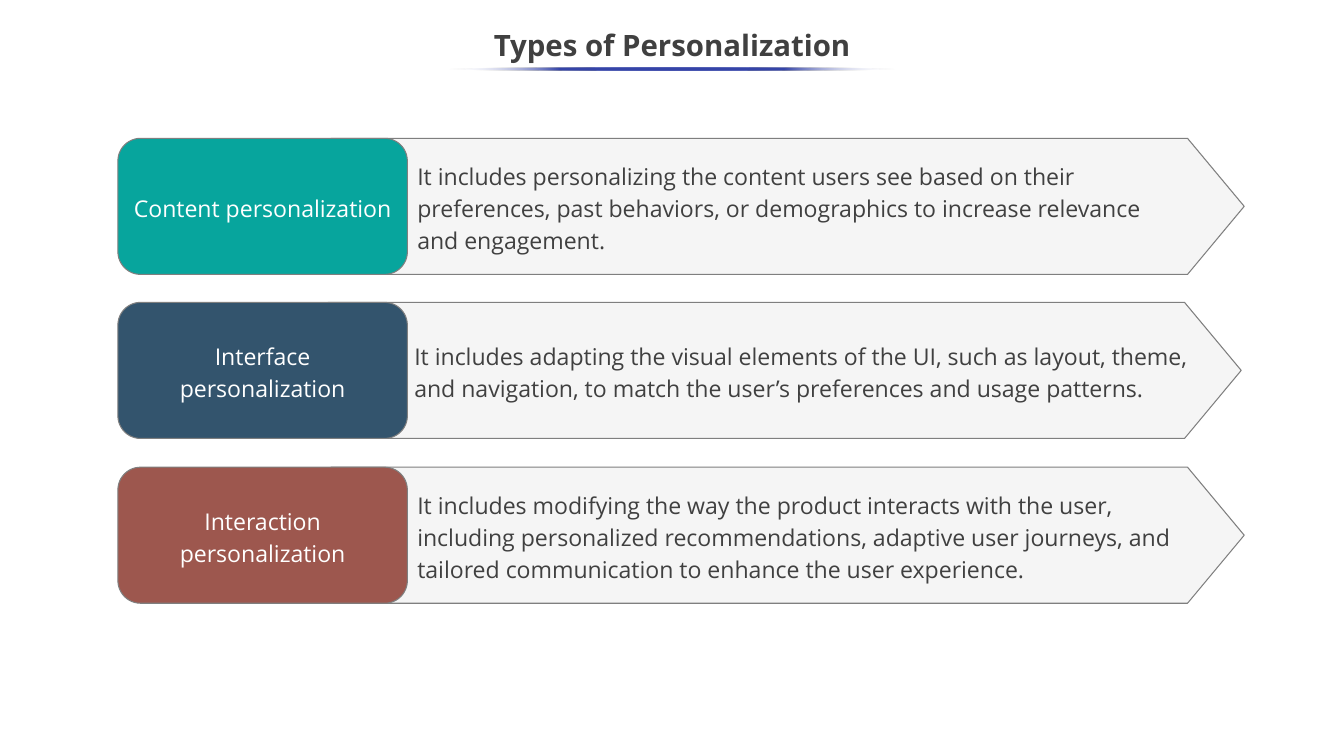
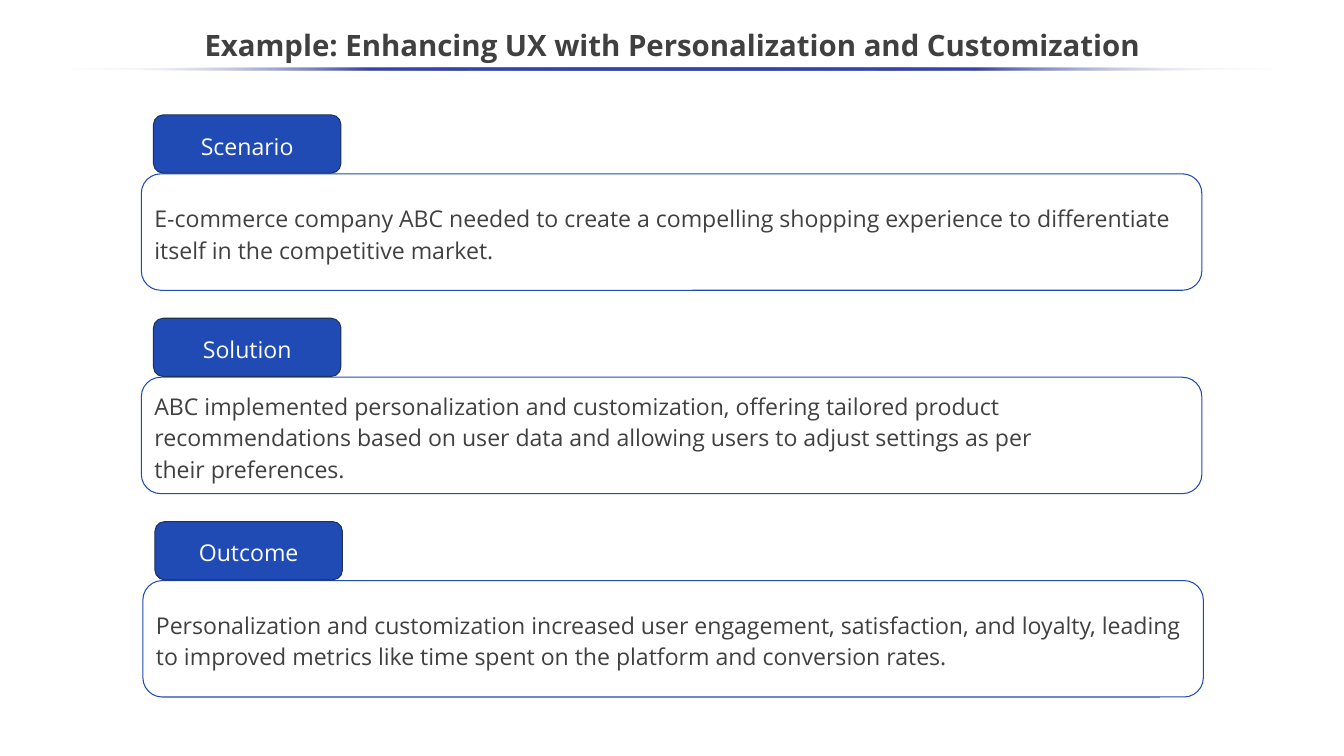
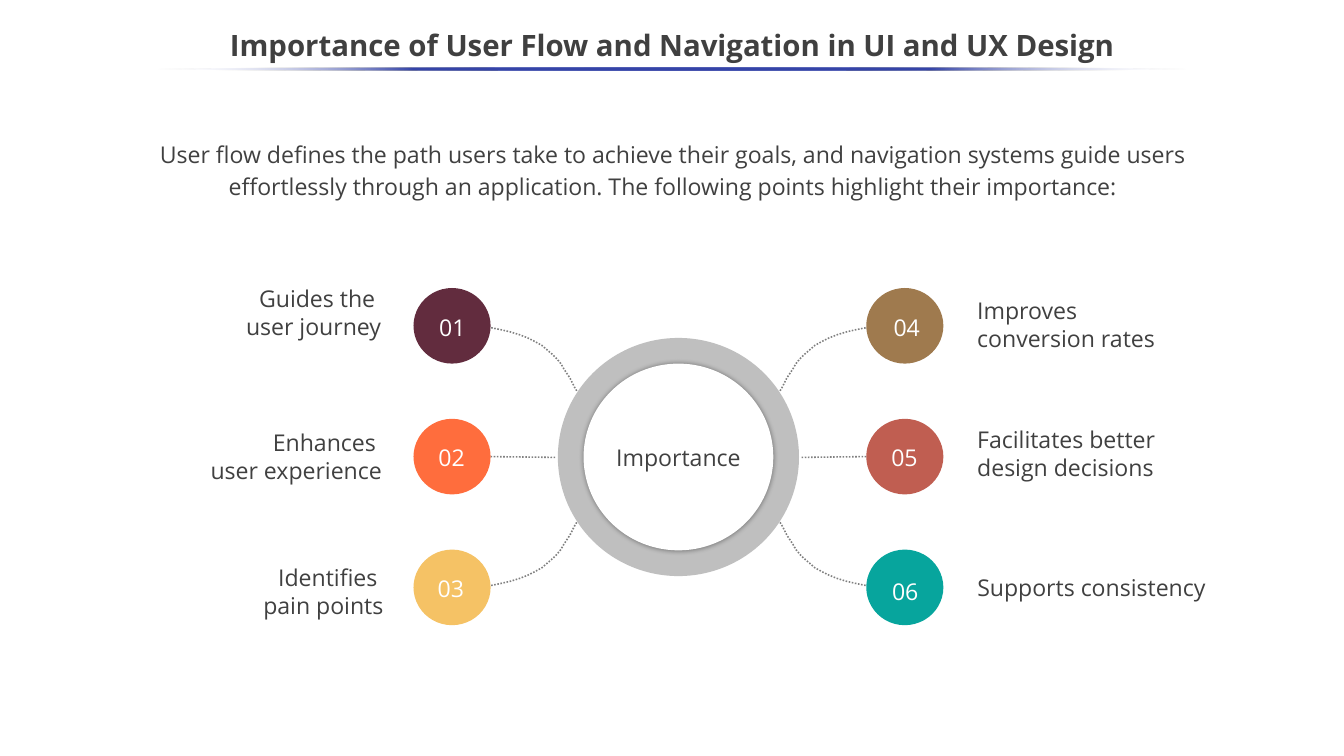
import pptx
import pptx.dml.color
import pptx.enum.dml
import pptx.enum.shapes
import pptx.enum.text
import pptx.oxml
import pptx.oxml.ns
import pptx.util
from lxml import etree

EMU_PER_PX = 9144  # 100 px to the inch
SLIDE_W, SLIDE_H = 1778, 1000
FONT = "Open Sans"
COLOURS = {
    "text": "404040", "white": "FFFFFF", "rule": "3645A9",
    "arrow": "D8D8D8", "outline": "7F7F7F",
    "content": "07A59D", "interface": "33546D", "interaction": "9D574E",
    "panel": "204BB5", "tab line": "1E3256",
    "link": "808080", "ring": "BFBFBF",
    "plum": "622C3E", "orange": "FF6D3D", "yellow": "F5C265",
    "brown": "9F7A4E", "red": "C05E51", "teal": "07A59D",
}
Preset = pptx.enum.shapes.MSO_SHAPE
Align = pptx.enum.text.PP_ALIGN
Anchor = pptx.enum.text.MSO_ANCHOR
AutoSize = pptx.enum.text.MSO_AUTO_SIZE


# Shared helpers
def px(*lengths):
    return [pptx.util.Emu(length * EMU_PER_PX) for length in lengths]


def rgb(name):
    return pptx.dml.color.RGBColor.from_string(COLOURS[name])


def drawing_xml(xml):
    return pptx.oxml.parse_xml(xml.replace(">", f" {pptx.oxml.ns.nsdecls('a')}>", 1))


def paint(shape, fill=None, line=None, width=1):
    shape.shadow.inherit = False
    if fill:
        shape.fill.solid()
        shape.fill.fore_color.rgb = rgb(fill)
    else:
        shape.fill.background()
    if line:
        shape.line.color.rgb = rgb(line)
        shape.line.width = pptx.util.Pt(width)
    else:
        shape.line.fill.background()
    return shape


def add_preset(slide, preset, box, fill, line=None):
    return paint(slide.shapes.add_shape(preset, *px(*box)), fill, line)


def remove_bullet(paragraph):
    properties = paragraph._p.get_or_add_pPr()
    properties.set("marL", "0")
    properties.set("indent", "0")
    etree.SubElement(properties, pptx.oxml.ns.qn("a:buNone"))


def write(shape, text, colour="text", align=Align.LEFT, spacing=1.0, size=22,
          bold=False, insets=(10, 5, 10, 5), anchor=Anchor.MIDDLE, unbullet=False):
    frame = shape.text_frame
    frame.word_wrap = True
    frame.auto_size = AutoSize.NONE
    frame.vertical_anchor = anchor
    (frame.margin_left, frame.margin_top,
     frame.margin_right, frame.margin_bottom) = px(*insets)
    frame.text = text
    for paragraph in frame.paragraphs:
        paragraph.alignment = align
        paragraph.line_spacing = spacing
        paragraph.space_before = pptx.util.Pt(0)
        if unbullet:
            remove_bullet(paragraph)
        font = paragraph.font
        font.name, font.size, font.bold = FONT, pptx.util.Pt(size), bold
        font.color.rgb = rgb(colour)


def add_label(slide, box, text, colour="text", align=Align.LEFT):
    label = slide.shapes.add_textbox(*px(*box))
    write(label, text, colour, align)
    label.text_frame.auto_size = AutoSize.SHAPE_TO_FIT_TEXT


def place(placeholder, box):
    (placeholder.left, placeholder.top,
     placeholder.width, placeholder.height) = px(*box)


def add_titled_slide(deck, layout, heading, rule_width):
    slide = deck.slides.add_slide(deck.slide_layouts[layout])
    title = slide.shapes.title
    place(title, (-1, 25, 1780, 75))
    write(title, heading, align=Align.CENTER, spacing=0.9, size=28, bold=True)

    # Rule that fades out at both ends
    rule_box = ((SLIDE_W - rule_width) // 2, 89, rule_width, 4)
    rule = add_preset(slide, Preset.OVAL, rule_box, "rule")
    stops = "".join(
        f'<a:gs pos="{position * 1000}"><a:srgbClr val="{COLOURS[name]}">'
        f'<a:alpha val="{alpha * 1000}"/></a:srgbClr></a:gs>'
        for position, name, alpha in (
            (0, "white", 0), (25, "rule", 100), (50, "rule", 100),
            (75, "rule", 100), (100, "white", 0)))
    fade = drawing_xml(f"<a:gradFill><a:gsLst>{stops}</a:gsLst>"
                       '<a:lin ang="10800000" scaled="0"/></a:gradFill>')
    properties = rule.fill._xPr
    properties.replace(properties.find(pptx.oxml.ns.qn("a:solidFill")), fade)
    return slide


# Slide 1: a coloured tag over an arrow with its description
def add_type_row(slide, box, arrow_shift, colour, name, description):
    left, top, width, height = box
    start, tip = left + 282 + arrow_shift, left + width + arrow_shift
    shoulder, bottom = tip - 75, top + height
    outline = slide.shapes.build_freeform(start, top, EMU_PER_PX)
    outline.add_line_segments([(shoulder, top), (tip, top + height // 2),
                               (shoulder, bottom), (start, bottom)])
    arrow = paint(outline.convert_to_shape(), "arrow", "outline")
    tint = arrow.fill._xPr.find(".//" + pptx.oxml.ns.qn("a:srgbClr"))
    etree.SubElement(tint, pptx.oxml.ns.qn("a:alpha"), val="25000")
    write(arrow, description, spacing=1.15, insets=(114, 2, 40, 2))

    tag = add_preset(slide, Preset.ROUNDED_RECTANGLE, (left, top, 383, height),
                     colour, "outline")
    write(tag, name, "white", Align.CENTER, 1.15, insets=(7, 4, 7, 4))


def build_types(deck):
    slide = add_titled_slide(deck, 5, "Types of Personalization", 590)
    types = (
        (0, "content", "Content personalization",
         "It includes personalizing the content users see based on their\v"
         "preferences, past behaviors, or demographics to increase relevance\v"
         "and engagement."),
        (-4, "interface", "Interface personalization",
         "It includes adapting the visual elements of the UI, such as layout, theme,\v"
         "and navigation, to match the user’s preferences and usage patterns."),
        (0, "interaction", "Interaction personalization",
         "It includes modifying the way the product interacts with the user,\v"
         "including personalized recommendations, adaptive user journeys, and\v"
         "tailored communication to enhance the user experience."),
    )
    for row, content in enumerate(types):
        add_type_row(slide, (156, 183 + 435 * row // 2, 1490, 180), *content)


# Slide 2: a tab standing on an outlined panel
def add_stage(slide, box, name, account):
    left, top, width, height = box
    panel = add_preset(slide, Preset.ROUNDED_RECTANGLE,
                       (left, top + 78, width, height - 78), "white", "panel")
    write(panel, account, spacing=1.14)
    tab = add_preset(slide, Preset.ROUNDED_RECTANGLE, (left + 16, top, 248, 77),
                     "panel", "tab line")
    write(tab, name, "white", Align.CENTER, 1.14)


def build_example(deck):
    slide = add_titled_slide(
        deck, 5, "Example: Enhancing UX with Personalization and Customization", 1604)
    stages = (
        (187, "Scenario",
         "E-commerce company ABC needed to create a compelling shopping "
         "experience to differentiate itself in the competitive market."),
        (187, "Solution",
         "ABC implemented personalization and customization, offering tailored "
         "product recommendations based on user data and allowing users to "
         "adjust settings as per\ntheir preferences."),
        (189, "Outcome",
         "Personalization and customization increased user engagement, "
         "satisfaction, and loyalty, leading to improved metrics like time "
         "spent on the platform and conversion rates."),
    )
    for row, (left, name, account) in enumerate(stages):
        add_stage(slide, (left, 152 + 269 * row, 1403, 232), name, account)


# Slide 3: a hub with three numbered points on each side
def style_link(link):
    link.line.color.rgb = rgb("link")
    link.line.width = pptx.util.Pt(1.5)
    link.line.dash_style = pptx.enum.dml.MSO_LINE.ROUND_DOT


def bezier(controls, steps=16):
    (x0, y0), (x1, y1), (x2, y2), (x3, y3) = controls
    for step in range(steps + 1):
        t = step / steps
        a, b, c, d = (1 - t) ** 3, 3 * t * (1 - t) ** 2, 3 * t * t * (1 - t), t ** 3
        yield a * x0 + b * x1 + c * x2 + d * x3, a * y0 + b * y1 + c * y2 + d * y3


def add_links(slide, box):
    left, top, width, height = box
    curve = ((485, 136), (500, 108), (517, 64), (601, 52))
    for mirrored in (False, True):
        def across(x):
            return left + (width - x if mirrored else x)

        for flipped in (False, True):
            controls = [(across(x), top + (height - y if flipped else y))
                        for x, y in curve]
            first, *others = bezier(controls)
            outline = slide.shapes.build_freeform(*first, EMU_PER_PX)
            outline.add_line_segments(others, close=False)
            style_link(paint(outline.convert_to_shape(), line="link"))
        spoke = slide.shapes.add_connector(
            pptx.enum.shapes.MSO_CONNECTOR.STRAIGHT,
            *px(across(599), top + 223, across(513), top + 224))
        style_link(spoke)
        etree.SubElement(spoke._element.spPr, pptx.oxml.ns.qn("a:effectLst"))


def add_hub(slide, box, topic):
    left, top, width, height = box

    def centred(w, h):
        return left + (width - w) // 2, top + (height - h + 1) // 2, w, h

    add_preset(slide, Preset.OVAL, centred(319, 315), "ring")
    core = add_preset(slide, Preset.OVAL, centred(251, 247), "white")
    core._element.spPr.find(pptx.oxml.ns.qn("a:effectLst")).append(drawing_xml(
        '<a:outerShdw blurRad="63500" dist="0" dir="0" algn="ctr" rotWithShape="0">'
        '<a:srgbClr val="000000"><a:alpha val="40000"/></a:srgbClr></a:outerShdw>'))
    write(core, topic, align=Align.CENTER, insets=(0, 0, 0, 0))


def add_point(slide, left, top, number, colour, number_at, label, label_box, align):
    add_preset(slide, Preset.OVAL, (left, top, 102, 100), colour)
    dx, dy = number_at
    add_label(slide, (left + dx, top + dy, 71, 47), number, "white", Align.CENTER)
    dx, dy, width, height = label_box
    add_label(slide, (left + dx, top + dy, width, height), label, align=align)


def build_importance(deck):
    slide = add_titled_slide(
        deck, 1, "Importance of User Flow and Navigation in UI and UX Design", 1366)
    intro = slide.placeholders[1]
    place(intro, (141, 180, 1498, 99))
    write(intro,
          "User flow defines the path users take to achieve their goals, and "
          "navigation systems guide users effortlessly through an application. "
          "The following points highlight their importance:",
          align=Align.CENTER, spacing=1.15, insets=(10, 0, 10, 0),
          anchor=Anchor.TOP, unbullet=True)

    diagram = left, top, width, height = 547, 381, 701, 446
    add_links(slide, diagram)
    add_hub(slide, diagram, "Importance")
    # Colour, number offset, label, label box relative to its circle
    points = (
        ("plum", (16, 28), "Guides the \vuser journey", (-307, -10, 274, 84)),
        ("orange", (15, 27), "Enhances \vuser experience", (-334, 8, 302, 84)),
        ("yellow", (14, 27), "Identifies \vpain points", (-383, 13, 353, 84)),
        ("brown", (18, 28), "Improves \vconversion rates", (137, 6, 307, 84)),
        ("red", (15, 27), "Facilitates better design decisions", (137, 4, 274, 84)),
        ("teal", (16, 32), "Supports consistency", (137, 26, 332, 47)),
    )
    for index, point in enumerate(points):
        side, row = divmod(index, 3)
        add_point(slide, left + side * (width - 102), top + row * (height - 100) // 2,
                  f"{index + 1:02}", *point, Align.LEFT if side else Align.RIGHT)


def main():
    deck = pptx.Presentation()
    deck.slide_width, deck.slide_height = px(SLIDE_W, SLIDE_H)
    build_types(deck)
    build_example(deck)
    build_importance(deck)
    deck.save("out.pptx")


if __name__ == "__main__":
    main()
